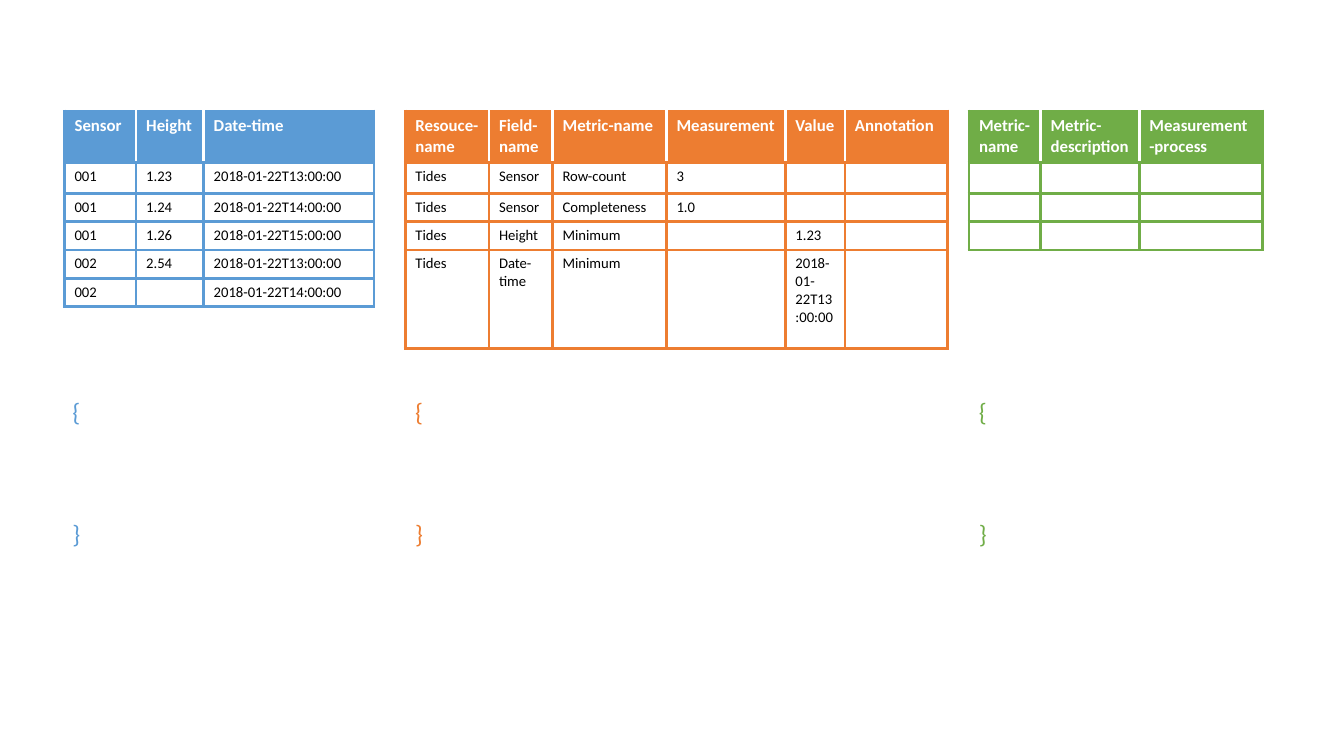
import lxml.etree
import pptx
import pptx.dml.color
import pptx.oxml.ns
import pptx.util

COLORS = {"sensor": "5B9BD5", "metric": "ED7D31", "process": "70AD47",
          "white": "FFFFFF", "black": "000000"}
FONT = "Calibri"
GRID_COLUMNS, GRID_ROWS = 1333, 750
UNIT = pptx.util.Inches(0.01)
TABLE_TOP, BRACE_TOP, BRACE_HEIGHT = 110, 388, 162
HEADER_SIZE, BODY_SIZE, BRACE_SIZE = 12, 10.5, 18
BORDER_WIDTH = pptx.util.Pt(2.25)

REGIONS = [
    {"color": "process", "left": 961, "brace_left": 961, "brace_width": 291,
     "columns": [71, 98, 122], "rows": [51, 31, 28, 28],
     "cells": [["Metric-name", "Metric-description", "Measurement-process"],
               *[[""] * 3] * 3]},
    {"color": "metric", "left": 402, "brace_left": 402, "brace_width": 496,
     "columns": [83, 63, 113, 118, 59, 102], "rows": [51, 31, 28, 28, 98],
     "cells": [["Resouce-name", "Field-name", "Metric-name", "Measurement", "Value", "Annotation"],
               ["Tides", "Sensor", "Row-count", "3", "", ""],
               ["Tides", "Sensor", "Completeness", "1.0", "", ""],
               ["Tides", "Height", "Minimum", "", "1.23", ""],
               ["Tides", "Date-time", "Minimum", "", "2018-01-22T13:00:00", ""]]},
    {"color": "sensor", "left": 64, "brace_left": 62, "brace_width": 303,
     "columns": [71, 67, 169], "rows": [51, 31, 28, 28, 28, 28],
     "cells": [["Sensor", "Height", "Date-time"],
               ["001", "1.23", "2018-01-22T13:00:00"],
               ["001", "1.24", "2018-01-22T14:00:00"],
               ["001", "1.26", "2018-01-22T15:00:00"],
               ["002", "2.54", "2018-01-22T13:00:00"],
               ["002", "", "2018-01-22T14:00:00"]]},
]


def rgb(name):
    """Return the named colour."""
    return pptx.dml.color.RGBColor.from_string(COLORS[name])


def format_spans(para, size, color, bold=False):
    """Format every run of a paragraph."""
    for span in para.runs:
        span.font.name = FONT
        span.font.size = pptx.util.Pt(size)
        span.font.bold = bold
        span.font.color.rgb = rgb(color)


def add_border(cell, side, color):
    """Draw one side of a cell."""
    qn = pptx.oxml.ns.qn
    line = lxml.etree.SubElement(cell._tc.get_or_add_tcPr(), qn(f"a:ln{side}"), w=str(BORDER_WIDTH))
    fill = lxml.etree.SubElement(line, qn("a:solidFill"))
    lxml.etree.SubElement(fill, qn("a:srgbClr"), val=COLORS[color])


def fill_cell(cell, text, color, header, first, last):
    """Write a cell and give it its borders and fill."""
    inner = "white" if header else color
    for side, name in (("L", color if first else inner), ("R", color if last else inner),
                       ("T", color), ("B", color)):
        add_border(cell, side, name)
    cell.fill.solid()
    cell.fill.fore_color.rgb = rgb(color if header else "white")
    cell.text_frame.text = text
    para = cell.text_frame.paragraphs[0]
    size = HEADER_SIZE if header else BODY_SIZE
    format_spans(para, size, "white" if header else "black", header)
    if not text:
        lxml.etree.SubElement(para._p, pptx.oxml.ns.qn("a:endParaRPr"), sz=str(int(size * 100)))


def add_data_table(page, box, region):
    """Place a coloured table in the box."""
    columns, rows = region["columns"], region["rows"]
    table = page.shapes.add_table(len(rows), len(columns), *box).table
    table.horz_banding = False
    for column, width in zip(table.columns, columns):
        column.width = width * UNIT
    for row, height in zip(table.rows, rows):
        row.height = height * UNIT
    for r, texts in enumerate(region["cells"]):
        for c, text in enumerate(texts):
            fill_cell(table.cell(r, c), text, region["color"], r == 0, c == 0, c == len(columns) - 1)


def add_braces(page, box, color):
    """Place an opening and a closing brace in the box."""
    frame = page.shapes.add_textbox(*box).text_frame
    frame.word_wrap = True
    frame.text = "{\n}"
    for para in frame.paragraphs:
        format_spans(para, BRACE_SIZE, color)
    frame.paragraphs[1].space_before = pptx.util.Pt(66)


def grid_box(left, top, width, height):
    """Turn grid columns and rows into slide lengths."""
    return [value * UNIT for value in (left, top, width, height)]


def build_deck():
    """Build and save the slide."""
    deck = pptx.Presentation()
    deck.slide_width, deck.slide_height = GRID_COLUMNS * UNIT, GRID_ROWS * UNIT
    page = deck.slides.add_slide(deck.slide_layouts[6])
    for region in REGIONS:
        size = sum(region["columns"]), sum(region["rows"])
        add_data_table(page, grid_box(region["left"], TABLE_TOP, *size), region)
    for region in reversed(REGIONS):
        box = grid_box(region["brace_left"], BRACE_TOP, region["brace_width"], BRACE_HEIGHT)
        add_braces(page, box, region["color"])
    deck.save("out.pptx")


build_deck()
